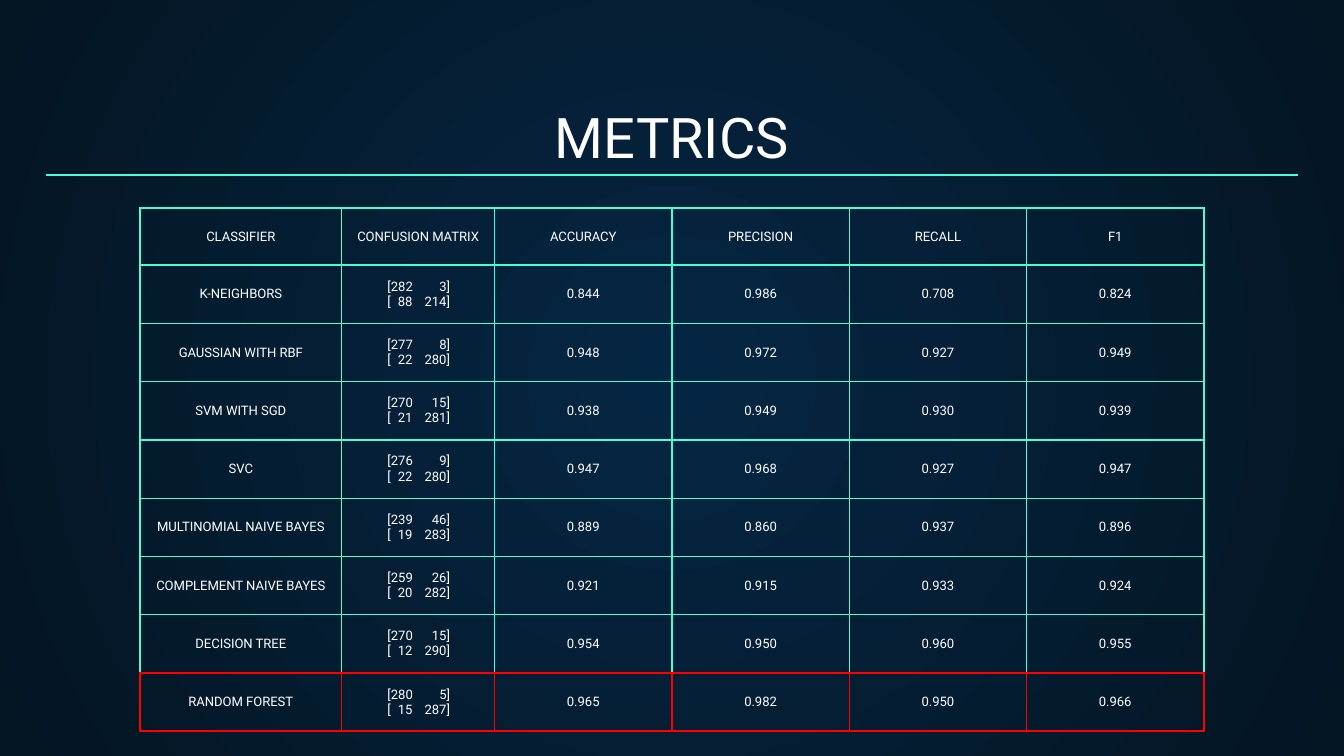
from dataclasses import dataclass

from lxml import etree
from pptx import Presentation
from pptx.dml.color import RGBColor
from pptx.enum.shapes import MSO_CONNECTOR
from pptx.enum.text import MSO_ANCHOR, PP_ALIGN
from pptx.oxml.ns import qn
from pptx.util import Pt

STRAIGHT = MSO_CONNECTOR.STRAIGHT
CENTER, LEFT = PP_ALIGN.CENTER, PP_ALIGN.LEFT
MIDDLE, BOTTOM = MSO_ANCHOR.MIDDLE, MSO_ANCHOR.BOTTOM


@dataclass(frozen=True)
class Theme:
    font: str = "Roboto"
    text: str = "FFFFFF"
    accent: str = "48FFD5"
    highlight: str = "FF0000"
    glow: str = "052643"
    edge: str = "041523"
    title_size: float = 30
    cell_size: float = 7
    thin: float = 0.75
    thick: float = 1.5
    inset: float = 7.2


THEME = Theme()
COLUMN_WIDTHS = [108, 82] + [95] * 4
ROW_HEIGHT = 30.6
MATRIX_INDENT = 17.4
MATRIX_STOPS = [13.4, 33.5]

HEADERS = ["CLASSIFIER", "CONFUSION MATRIX", "ACCURACY", "PRECISION", "RECALL", "F1"]
RESULTS = [
    ("K-NEIGHBORS", (282, 3, 88, 214), "0.844", "0.986", "0.708", "0.824"),
    ("GAUSSIAN WITH RBF", (277, 8, 22, 280), "0.948", "0.972", "0.927", "0.949"),
    ("SVM WITH SGD", (270, 15, 21, 281), "0.938", "0.949", "0.930", "0.939"),
    ("SVC", (276, 9, 22, 280), "0.947", "0.968", "0.927", "0.947"),
    ("MULTINOMIAL NAIVE BAYES", (239, 46, 19, 283), "0.889", "0.860", "0.937", "0.896"),
    ("COMPLEMENT NAIVE BAYES", (259, 26, 20, 282), "0.921", "0.915", "0.933", "0.924"),
    ("DECISION TREE", (270, 15, 12, 290), "0.954", "0.950", "0.960", "0.955"),
    ("RANDOM FOREST", (280, 5, 15, 287), "0.965", "0.982", "0.950", "0.966"),
]


def apply_format(target, values):
    for name, value in values.items():
        setattr(target, name, value)


def margins(inset):
    return {f"margin_{side}": Pt(inset) for side in ("left", "top", "right", "bottom")}


def write(para, text, size, alignment=CENTER):
    para.alignment = alignment
    span = para.add_run()
    span.text = text
    apply_format(span.font, {"name": THEME.font, "size": Pt(size)})
    span.font.color.rgb = RGBColor.from_string(THEME.text)


def set_background(page):
    fill = page.background.fill
    fill.gradient()
    for stop, color in zip(fill.gradient_stops, (THEME.glow, THEME.edge)):
        stop.color.rgb = RGBColor.from_string(color)
    gradient = next(page.element.iter(qn("a:gradFill")))
    gradient.remove(gradient.find(qn("a:lin")))
    radial = etree.SubElement(gradient, qn("a:path"))
    radial.set("path", "circle")
    center = etree.SubElement(radial, qn("a:fillToRect"))
    for side in "ltrb":
        center.set(side, "50000")
    for position, stop in zip((0, 1), fill.gradient_stops):
        stop.position = position


def add_title(page, text):
    box = page.shapes.add_textbox(Pt(24.5), Pt(50.4), Pt(671), Pt(47.5))
    frame = box.text_frame
    apply_format(frame, {"word_wrap": True, "vertical_anchor": BOTTOM, **margins(THEME.inset)})
    write(frame.paragraphs[0], text, THEME.title_size)


def add_rule(page):
    rule = page.shapes.add_connector(STRAIGHT, Pt(24.5), Pt(93.75), Pt(695.5), Pt(93.75))
    rule.line.color.rgb = RGBColor.from_string(THEME.accent)
    rule.line.width = Pt(THEME.thin)
    etree.SubElement(rule.element.spPr, qn("a:effectLst"))


def set_tab_stops(para, stops):
    tabs = etree.SubElement(para._p.get_or_add_pPr(), qn("a:tabLst"))
    for stop in stops:
        tab = etree.SubElement(tabs, qn("a:tab"))
        tab.set("pos", str(int(Pt(stop))))
        tab.set("algn", "r")


def write_matrix(cell, matrix):
    cell.margin_left = Pt(THEME.inset + MATRIX_INDENT)
    frame = cell.text_frame
    first, second, third, fourth = matrix
    upper, lower = frame.paragraphs[0], frame.add_paragraph()
    write(upper, f"[{first}\t{second}]", THEME.cell_size, LEFT)
    write(lower, f"[\t{third}\t{fourth}]", THEME.cell_size, LEFT)
    set_tab_stops(upper, MATRIX_STOPS[1:])
    set_tab_stops(lower, MATRIX_STOPS)


def set_borders(cell, borders):
    properties = cell._tc.get_or_add_tcPr()
    for index, (side, (color, width)) in enumerate(borders.items()):
        line = etree.Element(qn(f"a:ln{side}"))
        line.set("w", str(int(Pt(width))))
        fill = etree.SubElement(line, qn("a:solidFill"))
        etree.SubElement(fill, qn("a:srgbClr")).set("val", color)
        properties.insert(index, line)


def cell_borders(row, column):
    last_row, last_column = len(RESULTS), len(HEADERS) - 1
    color = THEME.highlight if row == last_row else THEME.accent
    below = THEME.highlight if row >= last_row - 1 else THEME.accent

    def width(heavy):
        return THEME.thick if heavy else THEME.thin

    return {
        "L": (color, width(column == 0)),
        "R": (color, width(column == last_column)),
        "T": (color, width(row <= 1)),
        "B": (below, width(row in (0, last_row))),
    }


def add_metrics_table(page):
    rows = [HEADERS] + RESULTS
    frame = page.shapes.add_table(
        len(rows), len(HEADERS), Pt(75), Pt(111.5),
        Pt(sum(COLUMN_WIDTHS)), Pt(ROW_HEIGHT * len(rows)))
    table = frame.table
    apply_format(table, {"first_row": False, "horz_banding": False})
    for column, width in zip(table.columns, COLUMN_WIDTHS):
        column.width = Pt(width)
    for row_index, values in enumerate(rows):
        table.rows[row_index].height = Pt(ROW_HEIGHT)
        for column_index, value in enumerate(values):
            cell = table.cell(row_index, column_index)
            apply_format(cell, {"vertical_anchor": MIDDLE, **margins(THEME.inset)})
            cell.fill.background()
            if isinstance(value, tuple):
                write_matrix(cell, value)
            else:
                write(cell.text_frame.paragraphs[0], value, THEME.cell_size)
            set_borders(cell, cell_borders(row_index, column_index))


def main():
    deck = Presentation()
    apply_format(deck, {"slide_width": Pt(720), "slide_height": Pt(405)})
    page = deck.slides.add_slide(deck.slide_layouts[6])
    set_background(page)
    add_title(page, "METRICS")
    add_rule(page)
    add_metrics_table(page)
    deck.save("out.pptx")


if __name__ == "__main__":
    main()
